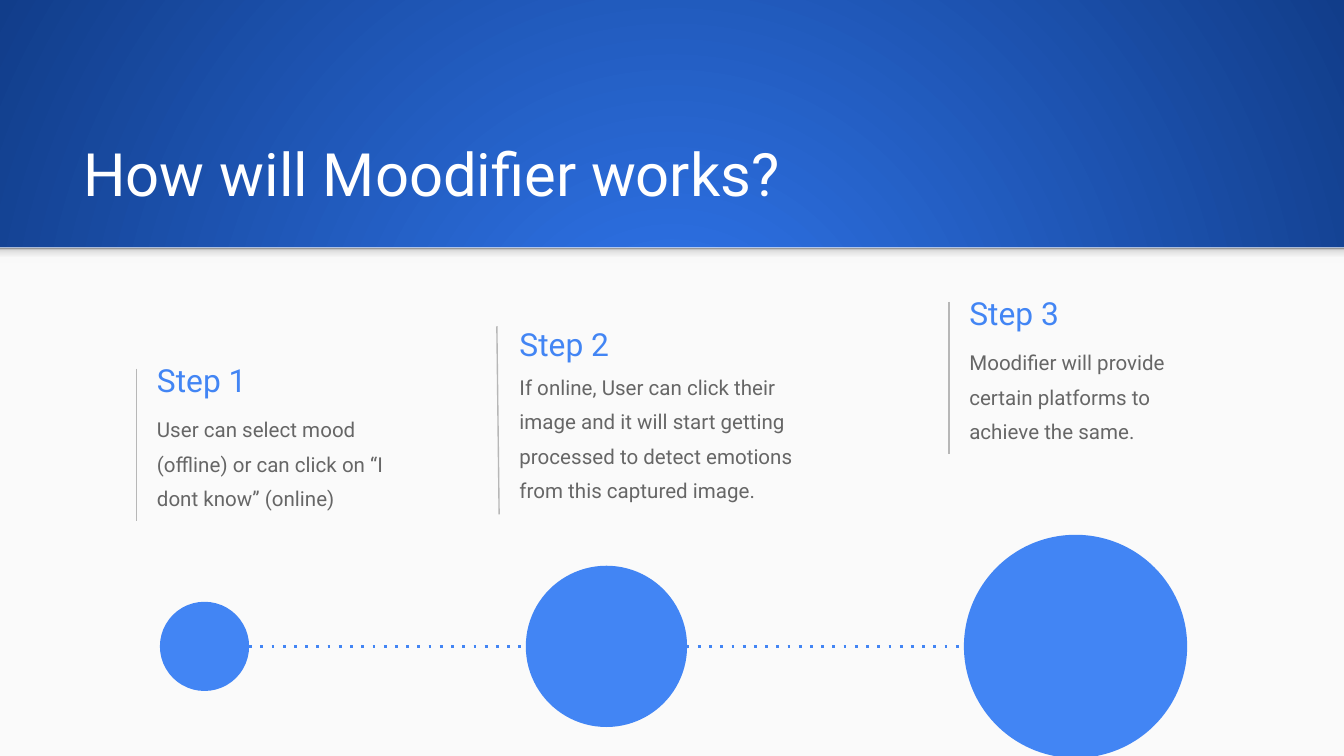
from dataclasses import dataclass

from lxml.etree import SubElement
from pptx import Presentation
from pptx.dml.color import RGBColor
from pptx.enum.shapes import MSO_CONNECTOR, MSO_SHAPE
from pptx.enum.text import MSO_ANCHOR, PP_ALIGN
from pptx.oxml.ns import qn
from pptx.util import Pt

FONT = "Roboto"
BLUE, GREY, RULE = "4285F4", "666666", "B7B7B7"
WHITE, PANEL = "FFFFFF", "FAFAFA"
WIDTH, HEIGHT = 720, 405
HEADER_H = 132.6
AXIS_Y = 346.3


@dataclass
class Step:
    title: str
    body: str
    left: float
    title_top: float
    body_top: float
    body_w: float
    body_h: float
    rule: tuple[float, float, float, float]
    centre_x: float
    diameter: float


STEPS = [
    Step("Step 1", "User can select mood (offline) or can click on “I dont know” (online)",
         77, 188, 211, 142.6, 45.4, (73.2, 197.5, 73.2, 279), 109.6, 47.8),
    Step("Step 2", "If online, User can click their image and it will start getting "
         "processed to detect emotions from this captured image.",
         271.2, 168.6, 188.2, 164.2, 93.6, (266.2, 174.8, 267.4, 275.6), 324.9, 86.4),
    Step("Step 3", "Moodifier will provide certain platforms to achieve the same.",
         512.2, 152.2, 175.2, 142.6, 45.4, (508.4, 161.8, 508.4, 243.2), 576.2, 119.6),
]


def rgb(color: str) -> RGBColor:
    return RGBColor.from_string(color)


def set_gradient(fill, parent, stops: list[tuple[int, str]], angle: int | None = None) -> None:
    """Fill with a linear gradient at a clockwise angle, or a circular one without it."""
    fill.gradient()
    grad = parent.find(qn("a:gradFill"))
    for child in list(grad):
        grad.remove(child)
    gs_list = SubElement(grad, qn("a:gsLst"))
    for position, color in stops:
        gs = SubElement(gs_list, qn("a:gs"), pos=str(position * 1000))
        SubElement(gs, qn("a:srgbClr"), val=color)
    if angle is None:
        circle = SubElement(grad, qn("a:path"), {"path": "circle"})
        SubElement(circle, qn("a:fillToRect"), dict.fromkeys("ltrb", "50000"))
    else:
        SubElement(grad, qn("a:lin"), ang=str(angle * 60000), scaled="0")


def add_shape(s, kind: MSO_SHAPE, x: float, y: float, w: float, h: float, color: str):
    sp = s.shapes.add_shape(kind, Pt(x), Pt(y), Pt(w), Pt(h))
    sp.shadow.inherit = False
    sp.fill.solid()
    sp.fill.fore_color.rgb = rgb(color)
    sp.line.fill.background()
    return sp


def add_line(s, ends: tuple[float, float, float, float], color: str,
             width: float, dash: str = "solid") -> None:
    c = s.shapes.add_connector(MSO_CONNECTOR.STRAIGHT, *map(Pt, ends))
    c.line.color.rgb = rgb(color)
    c.line.width = Pt(width)
    props = c.element.spPr
    SubElement(props.find(qn("a:ln")), qn("a:prstDash"), val=dash)
    SubElement(props, qn("a:effectLst"))


def write(sp, text: str, size: float, color: str, anchor: MSO_ANCHOR,
          spacing: float = 1.0) -> None:
    tf = sp.text_frame
    tf.word_wrap = True
    tf.vertical_anchor = anchor
    tf.margin_left = tf.margin_right = tf.margin_top = tf.margin_bottom = Pt(7.2)
    p = tf.paragraphs[0]
    p.alignment = PP_ALIGN.LEFT
    p.line_spacing = spacing
    r = p.add_run()
    r.text = text
    r.font.name = FONT
    r.font.size = Pt(size)
    r.font.color.rgb = rgb(color)


def add_text(s, x: float, y: float, w: float, h: float, *style) -> None:
    write(s.shapes.add_textbox(Pt(x), Pt(y), Pt(w), Pt(h)), *style)


def add_background(s) -> None:
    fill = s.background.fill
    fill.solid()
    set_gradient(fill, s.element.find(".//" + qn("p:bgPr")), [(0, "3177EE"), (100, "113D8A")])
    add_shape(s, MSO_SHAPE.RECTANGLE, 0, HEADER_H, WIDTH, HEIGHT - HEADER_H, PANEL)
    shade = add_shape(s, MSO_SHAPE.RECTANGLE, 0, HEADER_H, WIDTH, 8.6, PANEL)
    set_gradient(shade.fill, shade.element.spPr,
                 [(0, "F9F9F9"), (36, "F9F9F9"), (80, "DEDEDE"), (100, "999999")], 270)


def add_title(s, text: str) -> None:
    sp = s.shapes.title
    sp.left, sp.top, sp.width, sp.height = Pt(37.4), Pt(58.3), Pt(647.3), Pt(60.5)
    write(sp, text, 32, WHITE, MSO_ANCHOR.BOTTOM)


def add_step(s, step: Step) -> None:
    add_line(s, step.rule, RULE, 0.75)
    add_text(s, step.left, step.title_top, 142.6, 31, step.title, 17, BLUE, MSO_ANCHOR.MIDDLE)
    add_text(s, step.left, step.body_top, step.body_w, step.body_h,
             step.body, 11, GREY, MSO_ANCHOR.TOP, 1.4)


def add_timeline(s, steps: list[Step]) -> None:
    first, last = steps[0], steps[-1]
    add_line(s, (first.centre_x + first.diameter / 2, AXIS_Y,
                 last.centre_x - last.diameter / 2, AXIS_Y), BLUE, 1.5, "dot")
    for step in steps:
        d = step.diameter
        add_shape(s, MSO_SHAPE.OVAL, step.centre_x - d / 2, AXIS_Y - d / 2, d, d, BLUE)


def main() -> None:
    prs = Presentation()
    prs.slide_width, prs.slide_height = Pt(WIDTH), Pt(HEIGHT)
    s = prs.slides.add_slide(prs.slide_layouts[5])
    add_background(s)
    add_title(s, "How will Moodifier works?")
    for step in STEPS:
        add_step(s, step)
    add_timeline(s, STEPS)
    prs.save("out.pptx")


if __name__ == "__main__":
    main()
